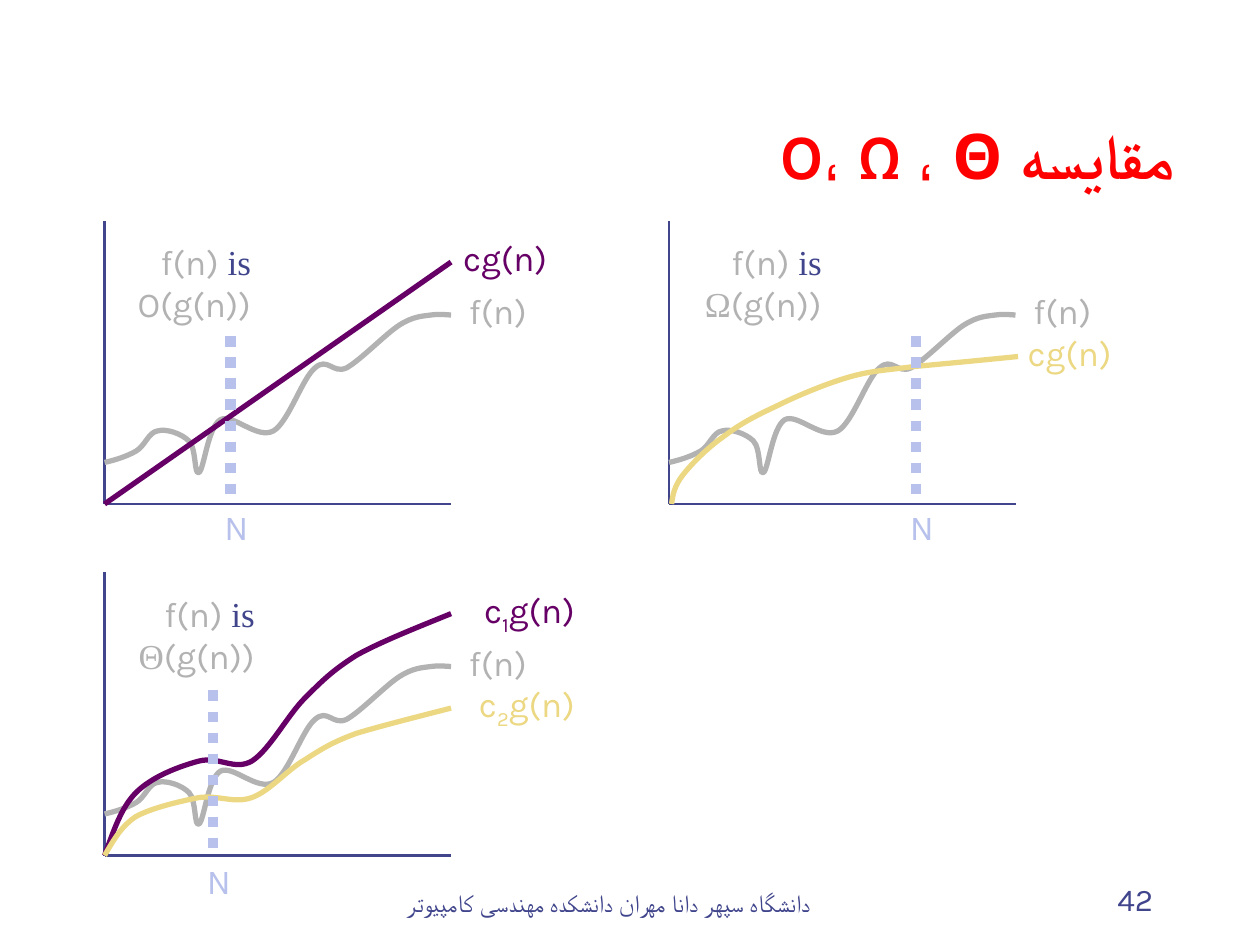
"""Build a slide comparing the growth bounds O, Ω and Θ on three plots."""
from dataclasses import dataclass

from lxml import etree
from pptx import Presentation
from pptx.dml.color import RGBColor
from pptx.enum.dml import MSO_LINE
from pptx.enum.shapes import MSO_CONNECTOR
from pptx.enum.text import MSO_ANCHOR, PP_ALIGN
from pptx.oxml.ns import qn
from pptx.util import Cm, Pt

STRAIGHT = MSO_CONNECTOR.STRAIGHT
DOTTED = MSO_LINE.ROUND_DOT
BOTTOM, TOP = MSO_ANCHOR.BOTTOM, MSO_ANCHOR.TOP
RIGHT, CENTER = PP_ALIGN.RIGHT, PP_ALIGN.CENTER

KARLA, TIMES = "Karla", "Times New Roman"
NAVY, GREY, PURPLE = "40458C", "B2B2B2", "660066"
YELLOW, LILAC, RED = "ECD882", "B7C1EB", "FF0000"
UNIT_CM = 2.54
PLOT_WIDTH, PLOT_HEIGHT = 2.75, 2.25

Points = list[tuple[float, float]]

F_CURVE: Points = [
    (0, .33), (.09, .35), (.18, .38), (.25, .42), (.32, .46), (.35, .57), (.42, .58),
    (.49, .6), (.61, .56), (.67, .5), (.73, .44), (.71, .22), (.75, .25),
    (.79, .28), (.82, .61), (.92, .67), (1.02, .72), (1.21, .51), (1.34, .58),
    (1.46, .65), (1.57, 1), (1.67, 1.08), (1.77, 1.17), (1.81, 1.03), (1.92, 1.08),
    (2.03, 1.14), (2.23, 1.35), (2.34, 1.42), (2.45, 1.49), (2.52, 1.49), (2.59, 1.5),
    (2.66, 1.51), (2.73, 1.5), (2.75, 1.5)]
OMEGA_CURVE: Points = [
    (.02, 0), (.03, .07), (.04, .14), (.11, .23), (.18, .32), (.31, .45), (.44, .54),
    (.57, .64), (.69, .7), (.86, .78), (1.02, .86), (1.26, .96), (1.44, 1.01),
    (1.62, 1.06), (1.72, 1.06), (1.94, 1.09), (2.16, 1.11), (2.47, 1.14), (2.77, 1.17)]
THETA_X = [0, .07, .13, .25, .38, .6, .75, .91, 1.03, 1.17,
           1.31, 1.45, 1.59, 1.73, 1.81, 2, 2.2, 2.48, 2.75]
THETA_UPPER = [0, .19, .38, .5, .63, .71, .75, .79, .67, .75,
               .84, 1.11, 1.25, 1.39, 1.47, 1.59, 1.7, 1.81, 1.92]
THETA_LOWER = [0, .12, .23, .31, .38, .43, .46, .48, .41, .46,
               .51, .68, .76, .85, .9, .97, 1.03, 1.1, 1.17]


@dataclass
class TextRun:
    """A piece of text in one style."""
    text: str
    color: str
    font: str = KARLA
    size: int = 20
    bold: bool = False
    subscript: bool = False


@dataclass
class Bound:
    """A bounding curve with its label, placed from the plot's origin."""
    points: Points
    runs: list[TextRun]
    label_left: float
    label_rise: float
    label_width: float


@dataclass
class Plot:
    """One plot with its caption, bounds and threshold."""
    left: float
    base: float
    caption: list[TextRun]
    caption_left: float
    bounds: list[Bound]
    threshold: float
    threshold_drop: float = 0


def length(units: float) -> Cm:
    """Convert layout units to a length."""
    return Cm(units * UNIT_CM)


def rgb(color: str) -> RGBColor:
    """Convert a hex string to a colour."""
    return RGBColor.from_string(color)


def add_text(shapes, left: float, top: float, width: float, height: float,
             runs: list[TextRun], align=RIGHT, anchor=TOP, rtl: bool = False) -> None:
    """Add a text box holding one paragraph."""
    frame = shapes.add_textbox(*map(length, (left, top, width, height))).text_frame
    frame.word_wrap = True
    frame.vertical_anchor = anchor
    paragraph = frame.paragraphs[0]
    paragraph.alignment = align
    if rtl:
        paragraph._p.get_or_add_pPr().set("rtl", "1")
    for item in runs:
        run = paragraph.add_run()
        run.text = item.text
        run.font.name = item.font
        run.font.size = Pt(item.size)
        run.font.bold = item.bold
        run.font.color.rgb = rgb(item.color)
        if item.subscript:
            run._r.get_or_add_rPr().set("baseline", "-25000")


def add_line(shapes, start: tuple[float, float], end: tuple[float, float],
             color: str, width: float, dash=None) -> None:
    """Add a straight line without a shadow."""
    line = shapes.add_connector(STRAIGHT, *map(length, (*start, *end)))
    line.line.color.rgb = rgb(color)
    line.line.width = Pt(width)
    if dash is not None:
        line.line.dash_style = dash
    etree.SubElement(line._element.spPr, qn("a:effectLst"))


def add_curve(shapes, points: Points, color: str) -> None:
    """Add a smooth open curve from a start point and triples of Bézier points."""
    corners = [(length(x), length(y)) for x, y in points]
    builder = shapes.build_freeform(*corners[0])
    builder.add_line_segments(corners[1:], close=False)
    curve = builder.convert_to_shape()
    curve.fill.background()
    curve.line.color.rgb = rgb(color)
    curve.line.width = Pt(3)
    curve.shadow.inherit = False
    segments = list(curve._element.iter(qn("a:lnTo")))
    for index in range(0, len(segments), 3):
        bezier = etree.Element(qn("a:cubicBezTo"))
        segments[index].addprevious(bezier)
        for segment in segments[index:index + 3]:
            bezier.append(segment[0])
            segment.getparent().remove(segment)


def add_plot(slide, plot: Plot) -> None:
    """Draw a plot as one group."""
    shapes = slide.shapes.add_group_shape().shapes

    def place(x: float, rise: float) -> tuple[float, float]:
        """Turn plot coordinates into slide coordinates."""
        return plot.left + x, plot.base - rise

    for end in ((0, PLOT_HEIGHT), (PLOT_WIDTH, 0)):
        add_line(shapes, place(0, 0), place(*end), NAVY, 1.5)
    add_curve(shapes, [place(*point) for point in F_CURVE], GREY)
    add_text(shapes, *place(2.7, 1.75), .75, .43, [TextRun("f(n)", GREY)])
    for bound in plot.bounds:
        points = [place(*point) for point in bound.points]
        color = bound.runs[0].color
        if len(points) == 2:
            add_line(shapes, *points, color, 3)
        else:
            add_curve(shapes, points, color)
        add_text(shapes, *place(bound.label_left, bound.label_rise),
                 bound.label_width, .43, bound.runs)
    add_text(shapes, *place(plot.caption_left, 2.14), 1.2, .77, plot.caption)
    drop = plot.threshold_drop
    add_line(shapes, place(plot.threshold, 1.33 - drop), place(plot.threshold, -drop),
             LILAC, 6, DOTTED)
    add_text(shapes, *place(plot.threshold - .18, .04 - drop), .42, .43,
             [TextRun("N", LILAC)])


def caption(*runs: TextRun) -> list[TextRun]:
    """Start a caption with the words that all plots share."""
    return [TextRun("f(n)", GREY), TextRun(" is ", NAVY, TIMES), *runs]


def theta_bound(rises: list[float], digit: str, color: str, label_rise: float) -> Bound:
    """Describe one of the two bounds of Θ."""
    runs = [TextRun("c", color), TextRun(digit, color, subscript=True),
            TextRun("g(n)", color)]
    return Bound(list(zip(THETA_X, rises)), runs, 2.72, label_rise, 1.11)


def main() -> None:
    """Build and save the slide."""
    presentation = Presentation()
    presentation.slide_width, presentation.slide_height = length(10), length(7.5)
    slide = presentation.slides.add_slide(presentation.slide_layouts[6])
    plots = [
        Plot(.83, 4, caption(TextRun("O(g(n))", GREY)), .06,
             [Bound([(0, 0), (PLOT_WIDTH, 1.92)], [TextRun("cg(n)", PURPLE)],
                    2.72, 2.17, .89)], 1),
        Plot(5.31, 4, caption(TextRun("Ω", GREY, TIMES), TextRun("(g(n))", GREY)), .11,
             [Bound(OMEGA_CURVE, [TextRun("cg(n)", YELLOW)], 2.72, 1.42, .89)], 1.96),
        Plot(.83, 6.79, caption(TextRun("Θ", GREY, TIMES), TextRun("(g(n))", GREY)), .09,
             [theta_bound(THETA_UPPER, "1", PURPLE, 2.17),
              theta_bound(THETA_LOWER, "2", YELLOW, 1.42)], .86, .02),
    ]
    for plot in plots:
        add_plot(slide, plot)
    add_text(slide.shapes, .92, .32, 8.5, 1.25,
             [TextRun("مقايسه O، Ω ، Θ", RED, size=36, bold=True)],
             anchor=BOTTOM, rtl=True)
    add_text(slide.shapes, 3.08, 6.83, 3.5, .5,
             [TextRun("دانشگاه سپهر دانا مهران دانشکده مهندسی کامپيوتر", NAVY, size=14)],
             CENTER, BOTTOM)
    add_text(slide.shapes, 7.17, 6.83, 2.08, .5, [TextRun("42", NAVY, size=18)],
             anchor=BOTTOM)
    presentation.save("out.pptx")


if __name__ == "__main__":
    main()
